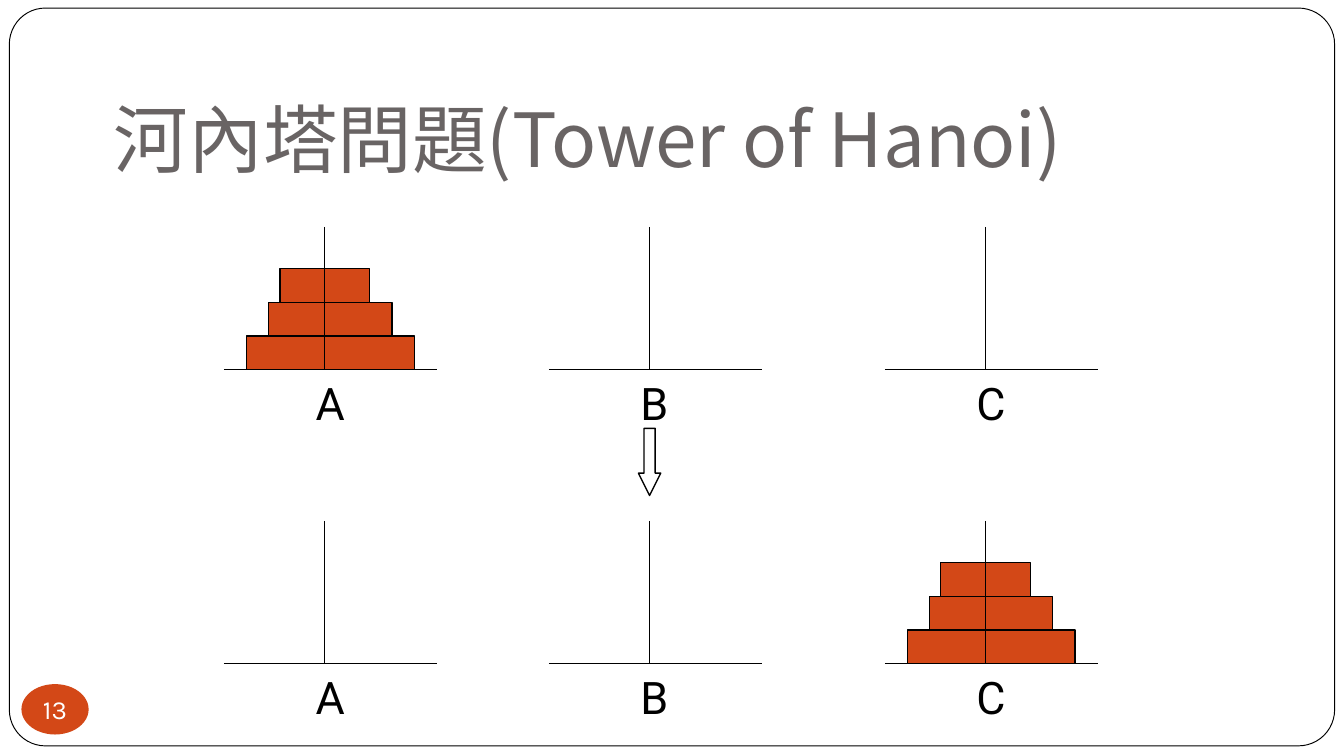
from lxml import etree
from pptx import Presentation
from pptx import util as u
from pptx.dml.color import RGBColor
from pptx.enum import shapes, text
from pptx.oxml.ns import qn

Pt = u.Pt
COLORS = {"black": "000000", "white": "FFFFFF", "title": "696464", "disk": "D34817"}
PEGS = {"A": 120, "B": 294, "C": 474}  # left end of each base
BASE_WIDTH, POLE_OFFSET, POLE_HEIGHT = 114, 54, 76.5
DISKS = [(12, 90), (24, 66), (30, 48)]  # offset from the base's left end, width
DISK_HEIGHT = 18
STAGES = [(198, "A"), (355.5, "C")]  # base line, peg that holds the disks

presentation = Presentation()
presentation.slide_width, presentation.slide_height = Pt(720), Pt(405)
slide = presentation.slides.add_slide(presentation.slide_layouts[6])


def add_shape(kind, left, top, width, height, fill=None, line=None, weight=0.75):
    shape = slide.shapes.add_shape(kind, Pt(left), Pt(top), Pt(width), Pt(height))
    shape.shadow.inherit = False
    if fill:
        shape.fill.solid()
        shape.fill.fore_color.rgb = RGBColor.from_string(COLORS[fill])
    else:
        shape.fill.background()
    if line:
        shape.line.color.rgb = RGBColor.from_string(COLORS[line])
        shape.line.width = Pt(weight)
    else:
        shape.line.fill.background()
    return shape


def write(shape, content, size, font, color, insets=(7.2, 3.6, 7.2, 3.6),
          anchor=text.MSO_ANCHOR.TOP, align=text.PP_ALIGN.LEFT, wrap=True):
    frame = shape.text_frame
    frame.word_wrap = wrap
    frame.vertical_anchor = anchor
    (frame.margin_left, frame.margin_top,
     frame.margin_right, frame.margin_bottom) = map(Pt, insets)
    paragraph = frame.paragraphs[0]
    paragraph.alignment = align
    run = paragraph.add_run()
    run.text = content
    run.font.size = Pt(size)
    run.font.name = font
    run.font.color.rgb = RGBColor.from_string(COLORS[color])
    etree.SubElement(run.font._element, qn("a:ea"), typeface=font)


# Frame, title and slide number
border = add_shape(shapes.MSO_SHAPE.ROUNDED_RECTANGLE, 5, 4.3, 710, 395.3,
                   "white", "black", 0.5)
border.adjustments[0] = 0.049

title = slide.shapes.add_textbox(Pt(54), Pt(21), Pt(612), Pt(84))
write(title, "河內塔問題(Tower of Hanoi)", 40, "Noto Sans CJK SC", "title",
      insets=(7.2, 3.6, 7.2, 7.2), anchor=text.MSO_ANCHOR.BOTTOM)

badge = add_shape(shapes.MSO_SHAPE.OVAL, 11.5, 366.5, 36, 27, "disk")
write(badge, "13", 14, "Karla", "white", insets=(0, 0, 0, 0), wrap=False,
      anchor=text.MSO_ANCHOR.MIDDLE, align=text.PP_ALIGN.CENTER)

# Start and end positions of the puzzle
for base, loaded_peg in STAGES:
    for name, left in PEGS.items():
        if name == loaded_peg:
            for level, (offset, width) in enumerate(DISKS, start=1):
                add_shape(shapes.MSO_SHAPE.RECTANGLE, left + offset,
                          base - level * DISK_HEIGHT, width, DISK_HEIGHT,
                          "disk", "black")
        pole = left + POLE_OFFSET
        for ends in ((left, base, left + BASE_WIDTH, base),
                     (pole, base - POLE_HEIGHT, pole, base)):
            connector = slide.shapes.add_connector(
                shapes.MSO_CONNECTOR.STRAIGHT, *map(Pt, ends))
            connector.line.color.rgb = RGBColor.from_string(COLORS["black"])
            connector.line.width = Pt(0.75)
            etree.SubElement(connector._element.spPr, qn("a:effectLst"))
        label = slide.shapes.add_textbox(Pt(left + 42), Pt(base), Pt(30), Pt(36))
        write(label, name, 24, "Roboto", "black")

arrow = add_shape(shapes.MSO_SHAPE.DOWN_ARROW, 342, 229.5, 12, 36, line="black")
arrow.adjustments[0], arrow.adjustments[1] = 0.5, 1

presentation.save("out.pptx")
